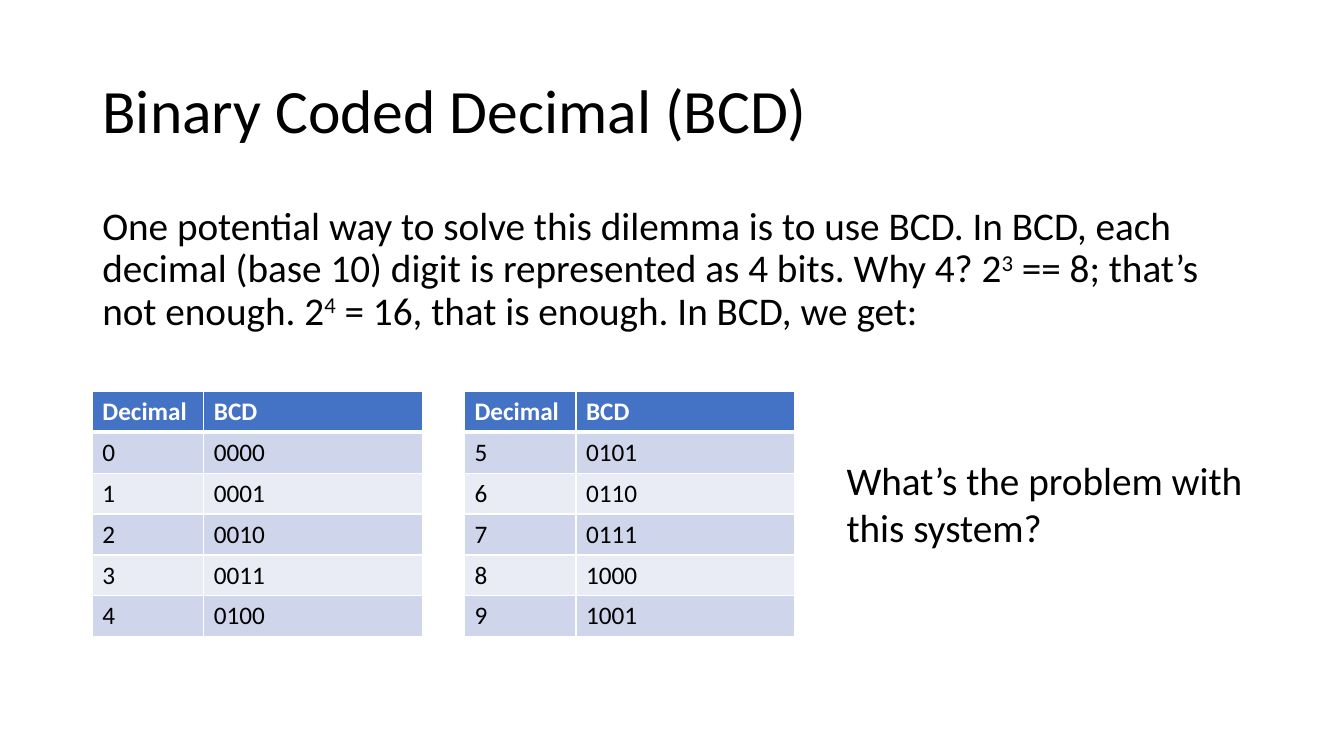
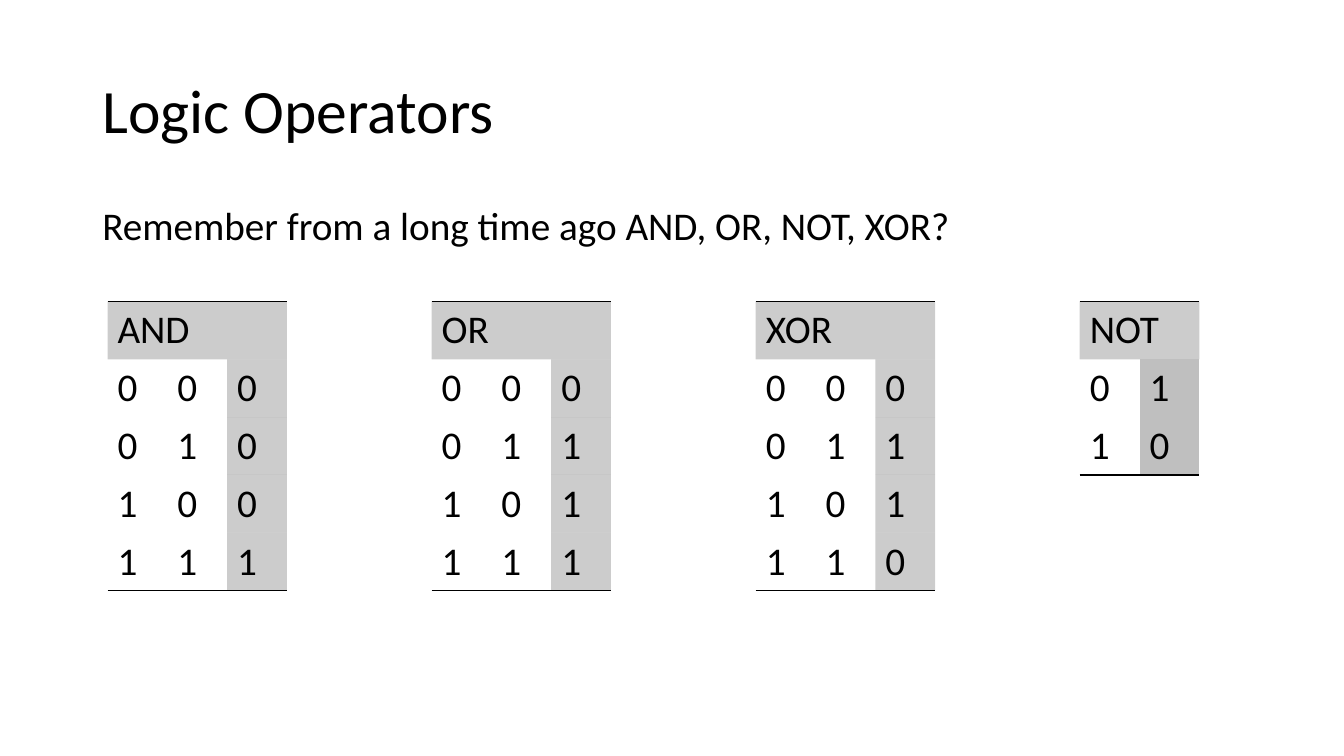
from itertools import product

from lxml.etree import SubElement
from pptx import Presentation
from pptx.dml.color import RGBColor
from pptx.enum.text import MSO_ANCHOR, MSO_AUTO_SIZE, PP_ALIGN
from pptx.oxml.ns import qn
from pptx.util import Inches, Pt

COLORS = {
    "text": "000000",
    "white": "FFFFFF",
    "header": "4472C4",
    "band_dark": "CFD5EA",
    "band_light": "E9EBF5",
    "shade": "000000",
    "not_result": "BFBFBF",
}
FONT = "Calibri"
TITLE_SIZE, BODY_SIZE, TABLE_SIZE = 44, 28, 18
SHADE_OPACITY = 20
PLAIN_TABLE_STYLE = "{2D5ABB26-0587-4C30-8999-92F81FD0307C}"
TITLE_ONLY = 5

# Grid of 160 columns by 90 rows, twelve to the inch
COLUMNS, ROWS = 160, 90
MARGIN, CONTENT = 11, 138


def grid(count):
    return Inches(count / 12)


def color(name):
    return RGBColor.from_string(COLORS[name])


class SlideBuilder:
    """Holds the deck, its style and the current slide."""

    def __init__(self):
        self.deck = Presentation()
        self.deck.slide_width = grid(COLUMNS)
        self.deck.slide_height = grid(ROWS)
        self.page = None

    def style(self, paragraph, size, name="text", bold=False):
        font = paragraph.font
        font.name, font.size, font.bold = FONT, Pt(size), bold
        font.color.rgb = color(name)
        paragraph.alignment = PP_ALIGN.LEFT

    def add_page(self, text):
        self.page = self.deck.slides.add_slide(self.deck.slide_layouts[TITLE_ONLY])
        title = self.page.shapes.title
        title.left, title.top = grid(MARGIN), grid(4.8)
        title.width, title.height = grid(CONTENT), grid(17.4)
        frame = title.text_frame
        frame.text = text
        frame.vertical_anchor = MSO_ANCHOR.MIDDLE
        frame.auto_size = MSO_AUTO_SIZE.NONE
        paragraph = frame.paragraphs[0]
        paragraph.line_spacing = 0.9
        self.style(paragraph, TITLE_SIZE)

    def add_text(self, parts, left, top, width, height):
        """Write the parts in turn; every second one is superscript."""
        box = self.page.shapes.add_textbox(*map(grid, (left, top, width, height)))
        box.text_frame.word_wrap = True
        paragraph = box.text_frame.paragraphs[0]
        self.style(paragraph, BODY_SIZE)
        for index, part in enumerate(parts):
            span = paragraph.add_run()
            span.text = part
            if index % 2:
                span._r.get_or_add_rPr().set("baseline", "30000")
        return paragraph

    def add_body(self, parts, height):
        paragraph = self.add_text(parts, MARGIN, 24, CONTENT, height)
        paragraph.line_spacing = 0.9
        paragraph.space_before = Pt(10)

    def add_grid(self, left, top, widths, row_height, row_count):
        frame = self.page.shapes.add_table(
            row_count, len(widths), grid(left), grid(top),
            grid(sum(widths)), grid(row_height * row_count))
        table = frame.table
        table._tbl.tblPr.find(qn("a:tableStyleId")).text = PLAIN_TABLE_STYLE
        for column, width in zip(table.columns, widths):
            column.width = grid(width)
        return table

    def format_cell(self, cell, borders, fill=None, opacity=100):
        """Draw borders, given as {side: (colour, points)}, then the fill."""
        properties = cell._tc.get_or_add_tcPr()
        for side in "LRTB":
            if side in borders:
                name, points = borders[side]
                line = SubElement(properties, qn(f"a:ln{side}"), w=str(Pt(points)))
                solid = SubElement(line, qn("a:solidFill"))
                SubElement(solid, qn("a:srgbClr"), val=COLORS[name])
        if fill is None:
            cell.fill.background()
            return
        cell.fill.solid()
        cell.fill.fore_color.rgb = color(fill)
        if opacity < 100:
            value = properties.find(f"{qn('a:solidFill')}/{qn('a:srgbClr')}")
            SubElement(value, qn("a:alpha"), val=str(opacity * 1000))

    def write_cell(self, cell, text, size, name="text", bold=False):
        cell.text = text
        self.style(cell.text_frame.paragraphs[0], size, name, bold)

    def add_code_table(self, digits, left, top):
        """List decimal digits beside their four bits."""
        rows = [("Decimal", "BCD")] + [(str(d), f"{d:04b}") for d in digits]
        table = self.add_grid(left, top, (13.28, 26.08), 4.87, len(rows))
        for r, row in enumerate(rows):
            header = r == 0
            fill = "header" if header else ("band_light", "band_dark")[r % 2]
            borders = {side: ("white", 1) for side in "LRTB"}
            if header:
                borders["B"] = ("white", 3)
            elif r == 1:
                borders["T"] = ("white", 3)
            for c, text in enumerate(row):
                cell = table.cell(r, c)
                self.write_cell(cell, text, TABLE_SIZE,
                                "white" if header else "text", header)
                self.format_cell(cell, borders, fill)

    def add_truth_table(self, name, inputs, rule, left, top):
        """Show every input combination with the operator's result."""
        rows = [(*bits, rule(*bits)) for bits in product((0, 1), repeat=inputs)]
        table = self.add_grid(left, top, [7.12] * (inputs + 1), 6.88, len(rows) + 1)
        table.cell(0, 0).merge(table.cell(0, inputs))
        self.write_cell(table.cell(0, 0), name, BODY_SIZE)
        for c in range(inputs + 1):
            self.format_cell(table.cell(0, c), {"T": ("text", 1)},
                             "shade", SHADE_OPACITY)
        for r, row in enumerate(rows, 1):
            borders = {"B": ("text", 1)} if r == len(rows) else {}
            for c, bit in enumerate(row):
                cell = table.cell(r, c)
                self.write_cell(cell, str(bit), BODY_SIZE)
                if c < inputs:
                    self.format_cell(cell, borders)
                elif inputs == 1:
                    self.format_cell(cell, borders, "not_result")
                else:
                    self.format_cell(cell, borders, "shade", SHADE_OPACITY)


def build_bcd(builder):
    builder.add_page("Binary Coded Decimal (BCD)")
    builder.add_body((
        "One potential way to solve this dilemma is to use BCD. In BCD, each "
        "decimal (base 10) digit is represented as 4 bits. Why 4? 2", "3",
        " == 8; that’s not enough. 2", "4",
        " = 16, that is enough. In BCD, we get:"), 17.4)
    for index in range(2):
        first = index * 5
        builder.add_code_table(range(first, first + 5), MARGIN + index * 44.3, 46.6)
    builder.add_text(["What’s the problem with this system?"], 99.6, 53.75, 51.6, 12.5)


def build_logic(builder):
    builder.add_page("Logic Operators")
    builder.add_body(["Remember from a long time ago AND, OR, NOT, XOR?"], 7.7)
    operators = (
        ("AND", 2, lambda a, b: a & b),
        ("OR", 2, lambda a, b: a | b),
        ("XOR", 2, lambda a, b: a ^ b),
        ("NOT", 1, lambda a: 1 - a),
    )
    for index, (name, inputs, rule) in enumerate(operators):
        builder.add_truth_table(name, inputs, rule, 12.8 + index * 38.58, 35.9)


def main():
    builder = SlideBuilder()
    build_bcd(builder)
    build_logic(builder)
    builder.deck.save("out.pptx")


if __name__ == "__main__":
    main()
